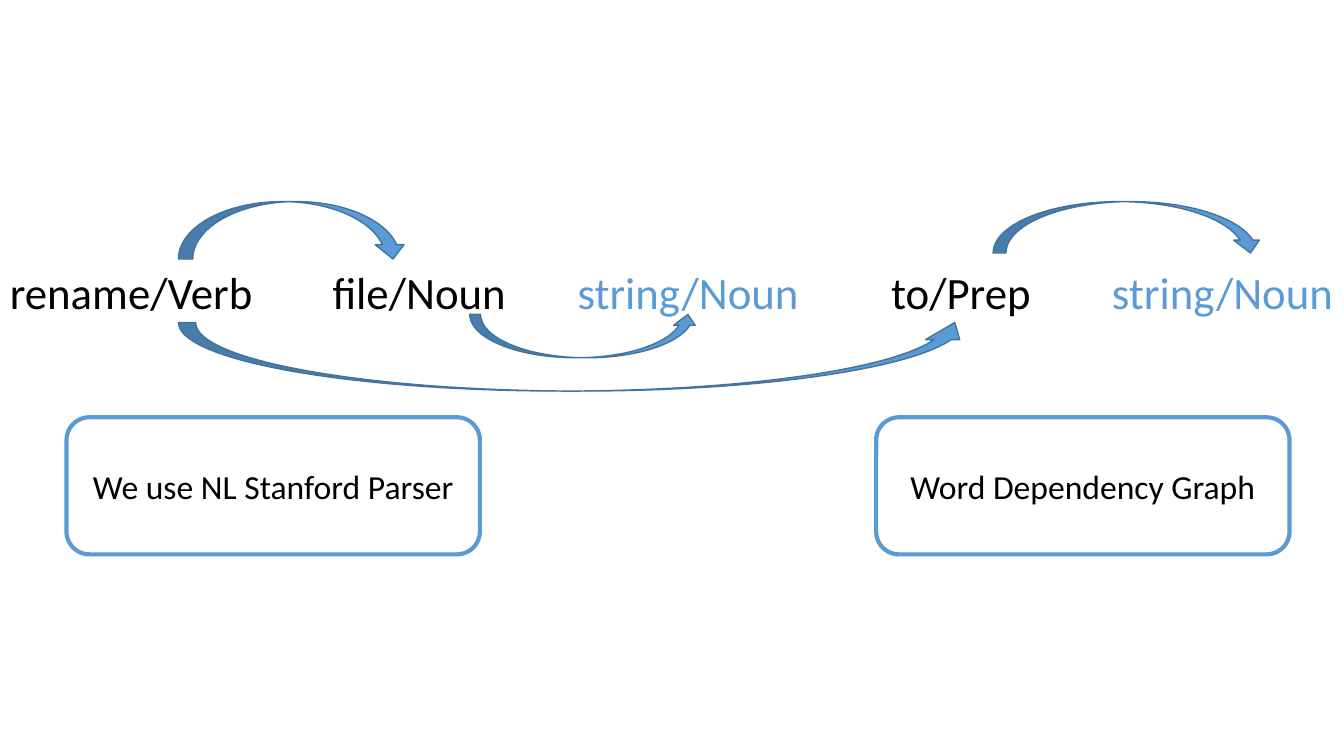
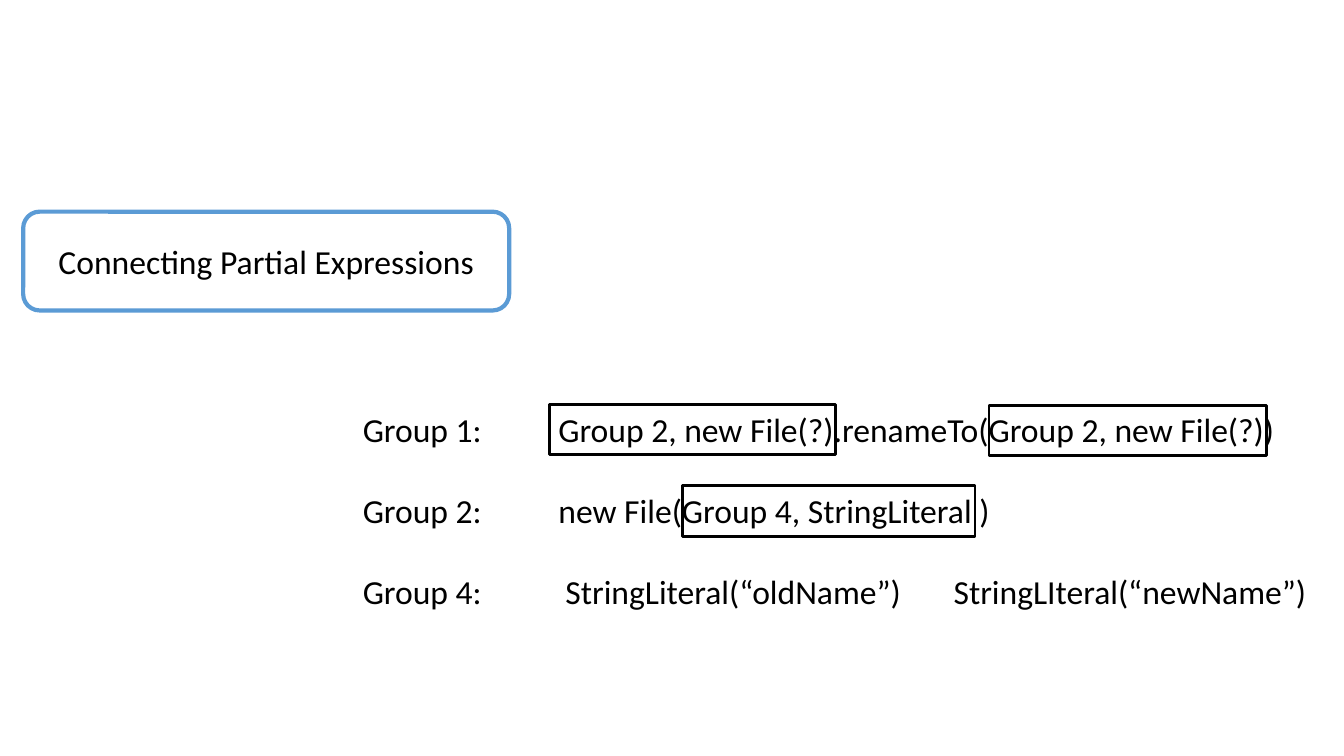
from dataclasses import dataclass

from lxml import etree
from pptx import Presentation
from pptx.dml.color import RGBColor
from pptx.enum import shapes, text
from pptx.oxml.ns import qn
from pptx.util import Inches, Pt


@dataclass(frozen=True)
class Theme:
    font: str = "Calibri"
    ink: RGBColor = RGBColor(0x00, 0x00, 0x00)
    paper: RGBColor = RGBColor(0xFF, 0xFF, 0xFF)
    accent: RGBColor = RGBColor(0x5B, 0x9B, 0xD5)
    edge: RGBColor = RGBColor(0x43, 0x73, 0x9E)
    word: Pt = Pt(32)
    label: Pt = Pt(24)
    row_gap: Pt = Pt(29)


T = Theme()
KIND = shapes.MSO_SHAPE

WORDS = [
    ("rename/Verb", T.ink),
    ("file/Noun", T.ink),
    ("string/Noun", T.accent),
    ("to/Prep", T.ink),
    ("string/Noun", T.accent),
]
WORD_TABS = [3.2, 5.63, 8.74, 10.93]
WORDS_AT = (0, 2, 13.33, 4.76)

CAPTIONS = [
    ("Word Dependency Graph", (8.69, 4.14, 4.1, 1.36)),
    ("We use NL Stanford Parser", (0.66, 4.14, 4.1, 1.36)),
]
DEPENDENCIES = [
    ((1.77, 2, 2.27, 0.57), False),
    ((1.77, 3.2, 7.87, 0.68), True),
    ((4.66, 3.12, 2.27, 0.43), True),
    ((9.85, 2, 2.68, 0.51), False),
]

GROUPS = [
    (["Group 1:", "Group 2, new File(?).renameTo(Group 2, new File(?))"], [1.94]),
    (["Group 2:", "new File(Group 4, StringLiteral )"], [1.94]),
    (["Group 4:", "StringLiteral(“oldName”)", "StringLIteral(“newName”)"], [2.01, 5.86]),
]
GROUPS_AT = (3.5, 4.01, 9.6, 2.12)
STEP = ("Connecting Partial Expressions", (0.23, 2.1, 4.82, 0.98))
HOLES = [(5.45, 4.01, 2.84, 0.5), (9.81, 4.02, 2.75, 0.5), (6.77, 4.82, 2.9, 0.5)]


def box(at):
    return [Inches(v) for v in at]


def style(font, size, color=T.ink):
    font.name, font.size = T.font, size
    font.color.rgb = color


def add_slide(prs, columns_at):
    s = prs.slides.add_slide(prs.slide_layouts[6])
    sp = s.shapes.add_textbox(*box(columns_at))
    sp.fill.solid()
    sp.fill.fore_color.rgb = T.paper
    tf = sp.text_frame
    tf.word_wrap = True
    tf.margin_right = 0
    return s, tf


def set_columns(p, stops):
    p.alignment = text.PP_ALIGN.LEFT
    tabs = etree.SubElement(p._p.get_or_add_pPr(), qn("a:tabLst"))
    for stop in stops:
        etree.SubElement(tabs, qn("a:tab"), pos=str(Inches(stop)), algn="l")


def add_shape(s, kind, at, fill, line, width):
    sp = s.shapes.add_shape(kind, *box(at))
    sp.shadow.inherit = False
    if fill is None:
        sp.fill.background()
    else:
        sp.fill.solid()
        sp.fill.fore_color.rgb = fill
    sp.line.color.rgb = line
    sp.line.width = Pt(width)
    return sp


def add_caption(s, label, at):
    sp = add_shape(s, KIND.ROUNDED_RECTANGLE, at, T.paper, T.accent, 3)
    tf = sp.text_frame
    tf.text = label
    tf.vertical_anchor = text.MSO_ANCHOR.MIDDLE
    p = tf.paragraphs[0]
    p.alignment = text.PP_ALIGN.CENTER
    style(p.runs[0].font, T.label)


def add_dependency(s, at, below):
    sp = add_shape(s, KIND.CURVED_DOWN_ARROW, at, T.accent, T.edge, 1)
    if below:
        sp._element.spPr.find(qn("a:xfrm")).set("flipV", "1")


def build_word_graph(prs):
    s, tf = add_slide(prs, WORDS_AT)
    tf.margin_top = Inches(0.63)
    p = tf.paragraphs[0]
    set_columns(p, WORD_TABS)
    for i, (word, color) in enumerate(WORDS):
        r = p.add_run()
        r.text = "\t" * (i > 0) + word
        style(r.font, T.word, color)
    for label, at in CAPTIONS:
        add_caption(s, label, at)
    for at, below in DEPENDENCIES:
        add_dependency(s, at, below)


def build_expressions(prs):
    s, tf = add_slide(prs, GROUPS_AT)
    tf.text = "\n".join("\t".join(cells) for cells, _ in GROUPS)
    for i, (p, (_, stops)) in enumerate(zip(tf.paragraphs, GROUPS)):
        set_columns(p, stops)
        if i:
            p.space_before = T.row_gap
        for r in p.runs:
            style(r.font, T.label)
    add_caption(s, *STEP)
    for at in HOLES:
        add_shape(s, KIND.RECTANGLE, at, None, T.ink, 2)


def main():
    prs = Presentation()
    prs.slide_width, prs.slide_height = Inches(13.33), Inches(7.5)
    build_word_graph(prs)
    build_expressions(prs)
    prs.save("out.pptx")


if __name__ == "__main__":
    main()
